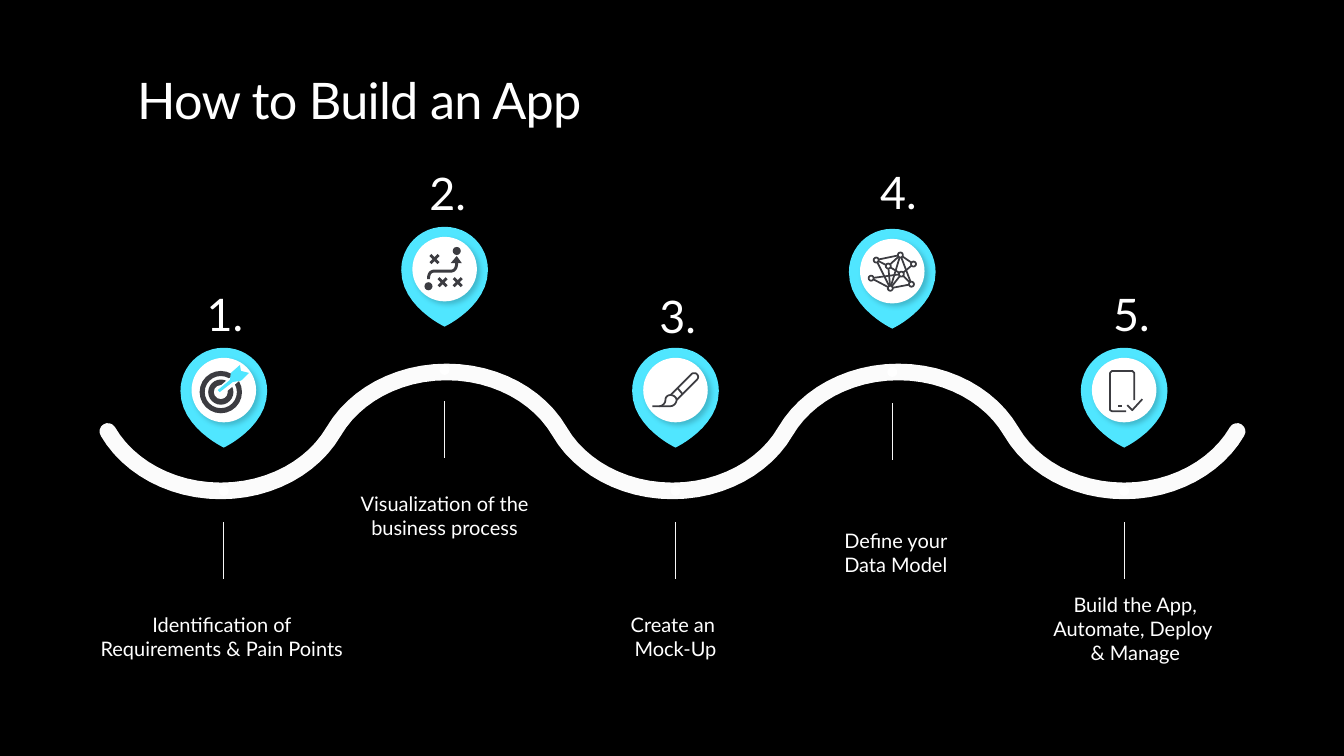
import dataclasses
import pptx
import pptx.dml.color
import pptx.enum.shapes
import pptx.enum.text
import pptx.oxml
import pptx.oxml.ns
import pptx.util

Inches, Pt = pptx.util.Inches, pptx.util.Pt
Kind = pptx.enum.shapes.MSO_SHAPE
Align = pptx.enum.text.PP_ALIGN
Anchor = pptx.enum.text.MSO_ANCHOR


@dataclasses.dataclass(frozen=True)
class Theme:
    back: str = "000000"
    white: str = "FFFFFF"
    road: str = "FBFBFB"
    tick: str = "F7F7F7"
    cyan: str = "50E6FF"
    dark: str = "3C3C41"
    font: str = "Lato"
    title: float = 36
    number: float = 32
    label: float = 14.3


THEME = Theme()


def rgb(code):
    return pptx.dml.color.RGBColor.from_string(code)


def paint(shape, fill=None, line=None, width=1.25):
    shape.shadow.inherit = False
    if fill:
        shape.fill.solid()
        shape.fill.fore_color.rgb = rgb(fill)
    else:
        shape.fill.background()
    if line:
        shape.line.color.rgb = rgb(line)
        shape.line.width = Pt(width)
    else:
        shape.line.fill.background()
    return shape


def bend(points, steps=12):
    """Sample a chain of cubic curves: a start, then three points per curve."""
    out = [points[0]]
    for i in range(0, len(points) - 1, 3):
        a, b, c, d = points[i:i + 4]
        for k in range(1, steps + 1):
            t = k / steps
            u = 1 - t
            out.append(tuple(
                u**3 * a[n] + 3 * u * u * t * b[n] + 3 * u * t * t * c[n] + t**3 * d[n]
                for n in (0, 1)))
    return out


def trace(slide, x, y, runs, fill=None, line=None, width=1.25):
    """Draw runs of points, in inches from (x, y), as one outline."""
    runs = [[(Inches(x + px), Inches(y + py)) for px, py in run] for run in runs]
    form = slide.shapes.build_freeform(*runs[0][0], scale=1.0)
    for i, run in enumerate(runs):
        if i:
            form.move_to(*run[0])
        form.add_line_segments(run[1:], close=bool(fill))
    return paint(form.convert_to_shape(), fill, line, width)


def disc(slide, x, y, size, fill, line=None, kind=Kind.OVAL):
    shape = slide.shapes.add_shape(
        kind, Inches(x - size / 2), Inches(y - size / 2), Inches(size), Inches(size))
    return paint(shape, fill, line)


def rule(slide, x1, y1, x2, y2, color, width):
    line = slide.shapes.add_connector(
        pptx.enum.shapes.MSO_CONNECTOR.STRAIGHT,
        Inches(x1), Inches(y1), Inches(x2), Inches(y2))
    line.line.color.rgb = rgb(color)
    line.line.width = Pt(width)
    line._element.spPr.append(pptx.oxml.parse_xml(
        f"<a:effectLst {pptx.oxml.ns.nsdecls('a')}/>"))


def write(shape, text, size, inset=(0, 0), align=Align.LEFT, anchor=Anchor.TOP):
    frame = shape.text_frame
    frame.word_wrap = True
    frame.vertical_anchor = anchor
    frame.margin_left = frame.margin_right = Inches(inset[0])
    frame.margin_top = frame.margin_bottom = Inches(inset[1])
    frame.text = text
    para = frame.paragraphs[0]
    para.alignment = align
    para.font.name = THEME.font
    para.font.size = Pt(size)
    para.font.color.rgb = rgb(THEME.white)
    return para


def head(slide, x, y, w, h):
    title = slide.shapes.title
    title.left, title.top, title.width, title.height = map(Inches, (x, y, w, h))
    para = write(title, "How to Build an App", THEME.title)
    para.line_spacing = 0.9
    para.runs[0]._r.get_or_add_rPr().set("spc", "-50")


def road(slide, x, y, span, rise, count):
    """Wave of half arcs, the first one hanging below y."""
    points = [(0, 0)]
    for i in range(count):
        sign = 1 if i % 2 == 0 else -1
        points += [((i + px) * span, sign * py * rise) for px, py in
                   [(0.09, 0.59), (0.28, 1), (0.5, 1), (0.72, 1), (0.91, 0.59), (1, 0)]]
    wave = trace(slide, x, y, [bend(points)], line=THEME.road, width=11.88)
    wave.line._get_or_add_ln().set("cap", "rnd")


def target(slide, x, y):
    for size, ratio in ((0.42, 0.12), (0.25, 0.22)):
        ring = disc(slide, x - 0.03, y + 0.02, size, THEME.dark, kind=Kind.DONUT)
        ring.adjustments[0] = ratio
    rule(slide, x - 0.02, y, x + 0.18, y - 0.17, THEME.white, 6)
    trace(slide, x, y, [[
        (0.16, -0.25), (0.17, -0.19), (0.25, -0.17), (0.18, -0.1), (0.16, -0.09),
        (0.09, -0.08), (-0.04, 0.02), (-0.06, 0), (0.06, -0.1), (0.07, -0.17),
        (0.15, -0.24)]], THEME.cyan)


def plan(slide, x, y):
    disc(slide, x - 0.16, y + 0.17, 0.08, THEME.dark)
    disc(slide, x + 0.12, y - 0.18, 0.08, THEME.dark)
    way = bend([(-0.16, 0.1), (-0.16, 0.06), (-0.15, 0.02), (-0.1, 0.02)])
    way += bend([(0.06, 0.02), (0.1, 0.02), (0.12, -0.01), (0.12, -0.07)])
    trace(slide, x, y, [way], line=THEME.dark, width=2.1)
    trace(slide, x, y, [[(0.06, -0.06), (0.12, -0.13), (0.17, -0.06)]], THEME.dark)
    cross, arm = [], [(0, -0.02), (0.03, -0.05), (0.05, -0.03)]
    for _ in range(4):
        cross += arm
        arm = [(-py, px) for px, py in arm]
    for dx, dy in ((-0.02, 0.13), (0.13, 0.13), (-0.1, -0.1)):
        trace(slide, x + dx, y + dy, [cross], THEME.dark)


def brush(slide, x, y):
    tip = bend([(-0.1, 0.1), (-0.1, 0.07), (-0.08, 0.05), (-0.05, 0.05),
                (-0.02, 0.05), (0.01, 0.07), (0.01, 0.1),
                (0.01, 0.13), (-0.02, 0.16), (-0.05, 0.16)])
    tail = bend([(-0.16, 0.16), (-0.13, 0.16), (-0.1, 0.13), (-0.1, 0.1)])
    grip = bend([(0.21, -0.1), (0.23, -0.12), (0.23, -0.14), (0.21, -0.16),
                 (0.2, -0.17), (0.17, -0.17), (0.16, -0.16)])
    trace(slide, x, y, [tip + [(-0.23, 0.16)], tail,
                        [(0.01, 0.1)] + grip + [(-0.05, 0.05)],
                        [(0.07, 0.04), (0.02, -0.02)]], line=THEME.dark)


def mesh(slide, x, y):
    nodes = [(0.08, -0.16), (0.21, -0.07), (0.09, 0.03), (0.19, 0.13),
             (-0.02, 0.17), (-0.21, 0.07), (-0.04, -0.05), (-0.16, -0.11)]
    edges = ["76", "62", "25", "54", "43", "07", "01", "12",
             "42", "04", "64", "74", "60", "03", "23"]
    trace(slide, x, y, [[nodes[int(n)] for n in edge] for edge in edges],
          line=THEME.dark)
    for dx, dy in nodes:
        disc(slide, x + dx, y + dy, 0.05, THEME.white, THEME.dark)


def phone(slide, x, y):
    trace(slide, x, y, [
        [(0.02, 0.21), (-0.12, 0.21), (-0.14, 0.2), (-0.14, -0.17),
         (-0.12, -0.19), (0.08, -0.19), (0.1, -0.17), (0.1, 0.1)],
        [(0.03, 0.15), (0.08, 0.2), (0.18, 0.09)],
        [(-0.06, 0.16), (-0.02, 0.16)]], line=THEME.dark)


def pin(slide, x, y, icon):
    """Map pin whose top middle is (x, y), with an icon on its disc."""
    drop = [(0.43, 0.43), (0.43, 0.79), (0, 0.99), (0, 0.99),
            (0, 0.99), (-0.43, 0.79), (-0.43, 0.43),
            (-0.43, 0.19), (-0.24, 0), (0, 0), (0.24, 0), (0.43, 0.19), (0.43, 0.43)]
    trace(slide, x, y, [bend(drop)], THEME.cyan)
    face = disc(slide, x, y + 0.42, 0.64, THEME.white)
    glow = face._element.spPr.find(pptx.oxml.ns.qn("a:effectLst"))
    glow.append(pptx.oxml.parse_xml(
        f'<a:outerShdw {pptx.oxml.ns.nsdecls("a")} blurRad="{Pt(4)}" dist="{Pt(3)}" '
        'dir="2700000"><a:srgbClr val="000000"><a:alpha val="20000"/></a:srgbClr>'
        '</a:outerShdw>'))
    icon(slide, x, y + 0.42)


def step(slide, x, y, icon, number, spot, label, box):
    disc(slide, x, y + 1.42, 0.1, THEME.white)
    text = slide.shapes.add_textbox(*map(Inches, box))
    write(text, label, THEME.label, (0, 0.05), Align.CENTER, Anchor.MIDDLE)
    pin(slide, x, y, icon)
    rule(slide, x, y + 1.73, x, y + 2.29, THEME.tick, 1)
    count = slide.shapes.add_textbox(*map(Inches, (*spot, 0.94, 0.81)))
    para = write(count, f"{number}.", THEME.number, (0.2, 0.16))
    para.line_spacing = 0.9
    para.space_after = Pt(6)


STEPS = [
    (2.22, 3.45, target, (1.85, 2.74),
     "Identification of Requirements & Pain Points", (0.93, 6.02, 2.54, 0.58)),
    (4.41, 2.25, plan, (4.06, 1.54),
     "Visualization of the business process", (3.41, 4.82, 2, 0.58)),
    (6.7, 3.45, brush, (6.34, 2.76), "Create an \vMock-Up", (5.7, 6.02, 2, 0.58)),
    (8.85, 2.27, mesh, (8.53, 1.53), "Define your\vData Model", (7.85, 5.19, 2.07, 0.58)),
    (11.15, 3.45, phone, (10.84, 2.74),
     "Build the App, Automate, Deploy \v& Manage", (10.26, 5.83, 2, 0.82)),
]


def main():
    deck = pptx.Presentation()
    deck.slide_width, deck.slide_height = Inches(13.33), Inches(7.5)
    slide = deck.slides.add_slide(deck.slide_layouts[5])
    slide.background.fill.solid()
    slide.background.fill.fore_color.rgb = rgb(THEME.back)
    head(slide, 1.36, 0.75, 11.52, 0.44)
    road(slide, 1.07, 4.28, 2.24, 0.59, len(STEPS))
    for number, (x, y, icon, spot, label, box) in enumerate(STEPS, 1):
        step(slide, x, y, icon, number, spot, label, box)
    deck.save("out.pptx")


if __name__ == "__main__":
    main()
